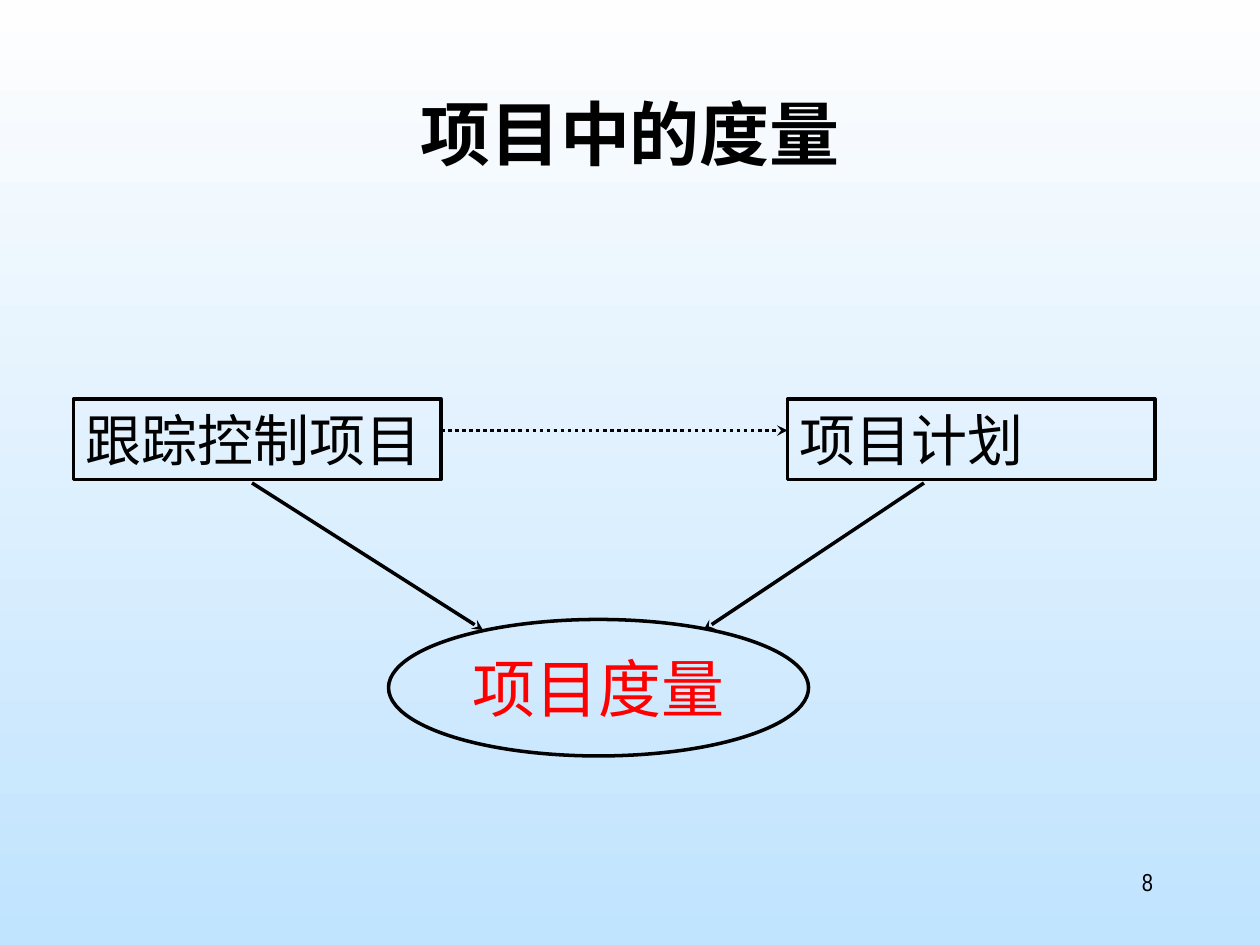
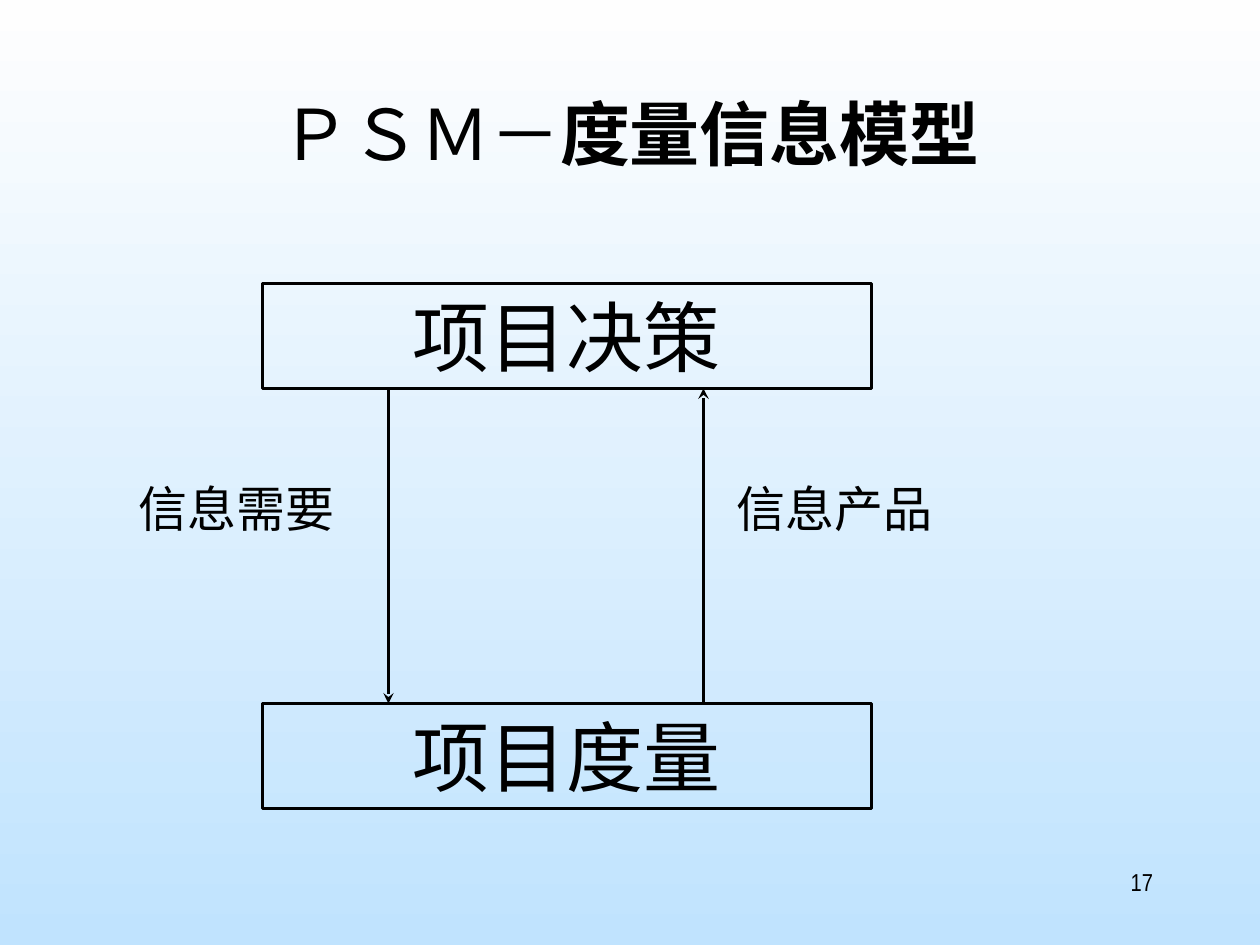
from lxml.etree import SubElement
from pptx import Presentation
from pptx.dml.color import RGBColor
from pptx.enum.dml import MSO_LINE
from pptx.enum.shapes import MSO_CONNECTOR, MSO_SHAPE
from pptx.enum.text import MSO_ANCHOR, MSO_AUTO_SIZE, PP_ALIGN
from pptx.oxml.ns import qn
from pptx.util import Pt

BLACK = RGBColor(0x00, 0x00, 0x00)
RED = RGBColor(0xFF, 0x00, 0x00)
SKY_TOP = RGBColor(0xFE, 0xFE, 0xFE)
SKY_BOTTOM = RGBColor(0xC0, 0xE3, 0xFE)
BODY_FONT = "Arial Narrow"
HAN_FONT = "Noto Sans CJK SC"
LINE_WIDTH = Pt(2)


def add_text(slide, text, left, top, width, height, size, outline=None,
             lead="", bold=False, font=BODY_FONT, color=BLACK,
             align=PP_ALIGN.LEFT, anchor=MSO_ANCHOR.TOP, wrap=True, grow=False):
    """Add text in a box, or in an outlined preset shape; lead is a regular-weight start."""
    frame = Pt(left), Pt(top), Pt(width), Pt(height)
    if outline is None:
        shape = slide.shapes.add_textbox(*frame)
    else:
        shape = slide.shapes.add_shape(outline, *frame)
        shape.shadow.inherit = False
        shape.fill.background()
        shape.line.color.rgb = BLACK
        shape.line.width = LINE_WIDTH
    text_frame = shape.text_frame
    text_frame.word_wrap = wrap
    text_frame.vertical_anchor = anchor
    text_frame.auto_size = MSO_AUTO_SIZE.SHAPE_TO_FIT_TEXT if grow else MSO_AUTO_SIZE.NONE
    paragraph = text_frame.paragraphs[0]
    paragraph.alignment = align
    for words, is_bold in ((lead, False), (text, bold)):
        if words:
            run = paragraph.add_run()
            run.text = words
            run.font.size = Pt(size)
            run.font.bold = is_bold
            run.font.color.rgb = color
            run.font.name = font
            SubElement(run.font._element, qn("a:ea"), typeface=HAN_FONT)


def add_arrow(slide, start, end, dash=None):
    ends = [Pt(value) for value in (*start, *end)]
    connector = slide.shapes.add_connector(MSO_CONNECTOR.STRAIGHT, *ends)
    connector.line.color.rgb = BLACK
    connector.line.width = LINE_WIDTH
    if dash is not None:
        connector.line.dash_style = dash
    properties = connector._element.spPr
    SubElement(properties.find(qn("a:ln")), qn("a:tailEnd"), type="stealth")
    SubElement(properties, qn("a:effectLst"))


presentation = Presentation()
presentation.slide_width = Pt(720)
presentation.slide_height = Pt(540)

# Shared background
background = presentation.slide_master.background.fill
background.gradient()
background.gradient_angle = 270
for stop, color in zip(background.gradient_stops, (SKY_TOP, SKY_BOTTOM)):
    stop.color.rgb = color

# Shared titles and page numbers
slides = []
for lead, title, number in (("", "项目中的度量", "8"), ("ＰＳＭ－", "度量信息模型", "17")):
    slide = presentation.slides.add_slide(presentation.slide_layouts[6])
    add_text(slide, title, 54, 48, 612, 90, 40, lead=lead, bold=True,
             font=HAN_FONT, align=PP_ALIGN.CENTER)
    add_text(slide, number, 516, 492, 150, 36, 14, align=PP_ALIGN.RIGHT)
    slides.append(slide)
measurement_slide, model_slide = slides

# Measurement in a project
for activity, left in (("跟踪控制项目", 42), ("项目计划", 450)):
    add_text(measurement_slide, activity, left, 228, 210, 46, 32,
             outline=MSO_SHAPE.RECTANGLE, grow=True)
add_text(measurement_slide, "项目度量", 222, 354, 240, 78, 36,
         outline=MSO_SHAPE.OVAL, color=RED, align=PP_ALIGN.CENTER,
         anchor=MSO_ANCHOR.MIDDLE, wrap=False)
add_arrow(measurement_slide, (144, 276), (276, 360))
add_arrow(measurement_slide, (528, 276), (402, 360))
add_arrow(measurement_slide, (252, 246), (450, 246), dash=MSO_LINE.ROUND_DOT)

# Measurement information model
DECISION_TOP, MEASURE_TOP, BOX_HEIGHT = 162, 402, 60
for process, top in (("项目决策", DECISION_TOP), ("项目度量", MEASURE_TOP)):
    add_text(model_slide, process, 150, top, 348, BOX_HEIGHT, 44,
             outline=MSO_SHAPE.RECTANGLE, align=PP_ALIGN.CENTER, grow=True)
decision_bottom = DECISION_TOP + BOX_HEIGHT
add_arrow(model_slide, (222, decision_bottom), (222, MEASURE_TOP))
add_arrow(model_slide, (402, MEASURE_TOP), (402, decision_bottom))
for flow, left in (("信息需要", 72), ("信息产品", 414)):
    add_text(model_slide, flow, left, 270, 132, 41, 28, grow=True)

presentation.save("out.pptx")
